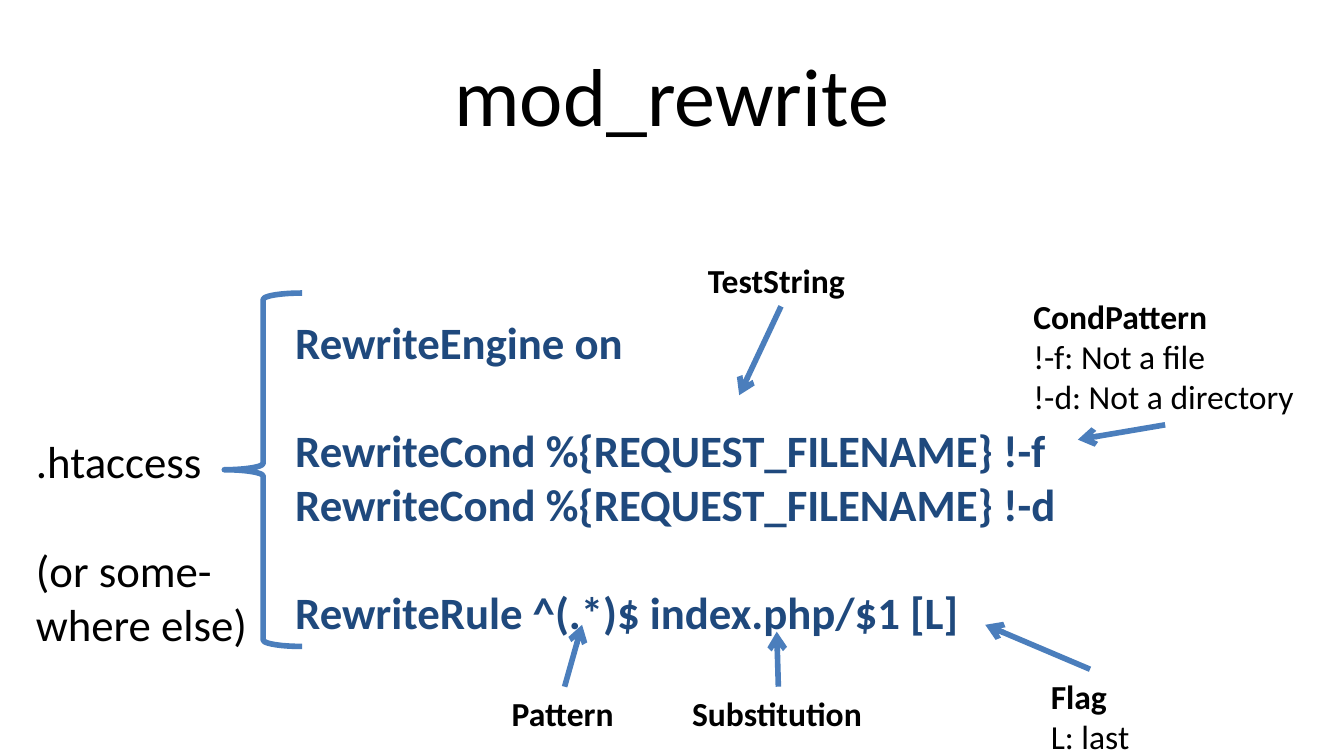
from dataclasses import dataclass

from lxml import etree
from pptx import Presentation
from pptx.dml.color import RGBColor
from pptx.enum.shapes import MSO_CONNECTOR, MSO_SHAPE
from pptx.enum.text import MSO_ANCHOR, PP_ALIGN
from pptx.oxml.ns import qn
from pptx.util import Cm, Pt

STRAIGHT = MSO_CONNECTOR.STRAIGHT
LEFT_BRACE = MSO_SHAPE.LEFT_BRACE
TOP, MIDDLE = MSO_ANCHOR.TOP, MSO_ANCHOR.MIDDLE
LEFT, CENTER = PP_ALIGN.LEFT, PP_ALIGN.CENTER


@dataclass(frozen=True)
class Theme:
    font: str = "Calibri"
    ink: RGBColor = RGBColor(0x00, 0x00, 0x00)
    code: RGBColor = RGBColor(0x1F, 0x49, 0x7D)
    accent: RGBColor = RGBColor(0x4B, 0x7E, 0xBC)
    title_size: int = 44
    body_size: int = 24
    label_size: int = 18
    block_gap: float = 29.3
    line_width: int = 3


class SlideBuilder:
    def __init__(self, slide, theme):
        self.slide = slide
        self.theme = theme

    def text(self, box, blocks, size, color, bold=False, align=LEFT, anchor=TOP):
        shape = self.slide.shapes.add_textbox(*map(Cm, box))
        frame = shape.text_frame
        frame.word_wrap = False
        frame.vertical_anchor = anchor
        lines = [(line, block > 0 and row == 0)
                 for block, rows in enumerate(blocks) for row, line in enumerate(rows)]
        for index, (line, starts_block) in enumerate(lines):
            paragraph = frame.add_paragraph() if index else frame.paragraphs[0]
            paragraph.text = line
            paragraph.alignment = align
            if starts_block:
                paragraph.space_before = Pt(self.theme.block_gap)
            font = paragraph.font
            font.name = self.theme.font
            font.size = Pt(size)
            font.color.rgb = color
            font.bold = bold
        return frame

    def label(self, box, heading, *details):
        frame = self.text(box, [(heading, *details)], self.theme.label_size, self.theme.ink)
        frame.paragraphs[0].font.bold = True

    def stroke(self, shape):
        shape.line.color.rgb = self.theme.accent
        shape.line.width = Pt(self.theme.line_width)

    def arrow(self, start, end):
        connector = self.slide.shapes.add_connector(STRAIGHT, *map(Cm, start + end))
        self.stroke(connector)
        etree.SubElement(connector.line._get_or_add_ln(), qn("a:tailEnd"), type="arrow")
        etree.SubElement(connector._element.spPr, qn("a:effectLst"))

    def brace(self, box):
        shape = self.slide.shapes.add_shape(LEFT_BRACE, *map(Cm, box))
        shape.shadow.inherit = False
        shape.fill.background()
        self.stroke(shape)


theme = Theme()
presentation = Presentation()
presentation.slide_width = Cm(25.4)
presentation.slide_height = Cm(14.29)
builder = SlideBuilder(presentation.slides.add_slide(presentation.slide_layouts[6]), theme)

builder.text((1.27, 0.58, 22.86, 2.39), [("mod_rewrite",)],
             theme.title_size, theme.ink, align=CENTER, anchor=MIDDLE)

builder.text((5.33, 5.82, 15.04, 6.4), [
    ("RewriteEngine on",),
    ("RewriteCond %{REQUEST_FILENAME} !-f", "RewriteCond %{REQUEST_FILENAME} !-d"),
    ("RewriteRule ^(.*)$ index.php/$1 [L]",),
], theme.body_size, theme.code, bold=True)

builder.text((0.43, 8.08, 4.55, 4.37), [(".htaccess",), ("(or some-", "where else)")],
             theme.body_size, theme.ink)
builder.brace((4.24, 5.54, 1.47, 6.68))

annotations = [
    ((12.83, 12.98, 3.76, 1.02), ("Substitution",), (14.71, 12.98), (14.68, 11.94)),
    ((9.42, 12.98, 2.46, 1.02), ("Pattern",), (10.67, 12.98), (11, 11.81)),
    ((19.61, 12.65, 2.01, 1.8), ("Flag", "L: last"), (20.6, 12.65), (18.62, 11.81)),
    ((13.13, 4.78, 3.17, 1.02), ("TestString",), (14.76, 5.79), (13.97, 7.47)),
    ((19.28, 5.46, 5.49, 2.57), ("CondPattern", "!-f: Not a file", "!-d: Not a directory"),
     (22.02, 8.03), (20.37, 8.31)),
]
for box, lines, start, end in annotations:
    builder.label(box, *lines)
    builder.arrow(start, end)

presentation.save("out.pptx")
